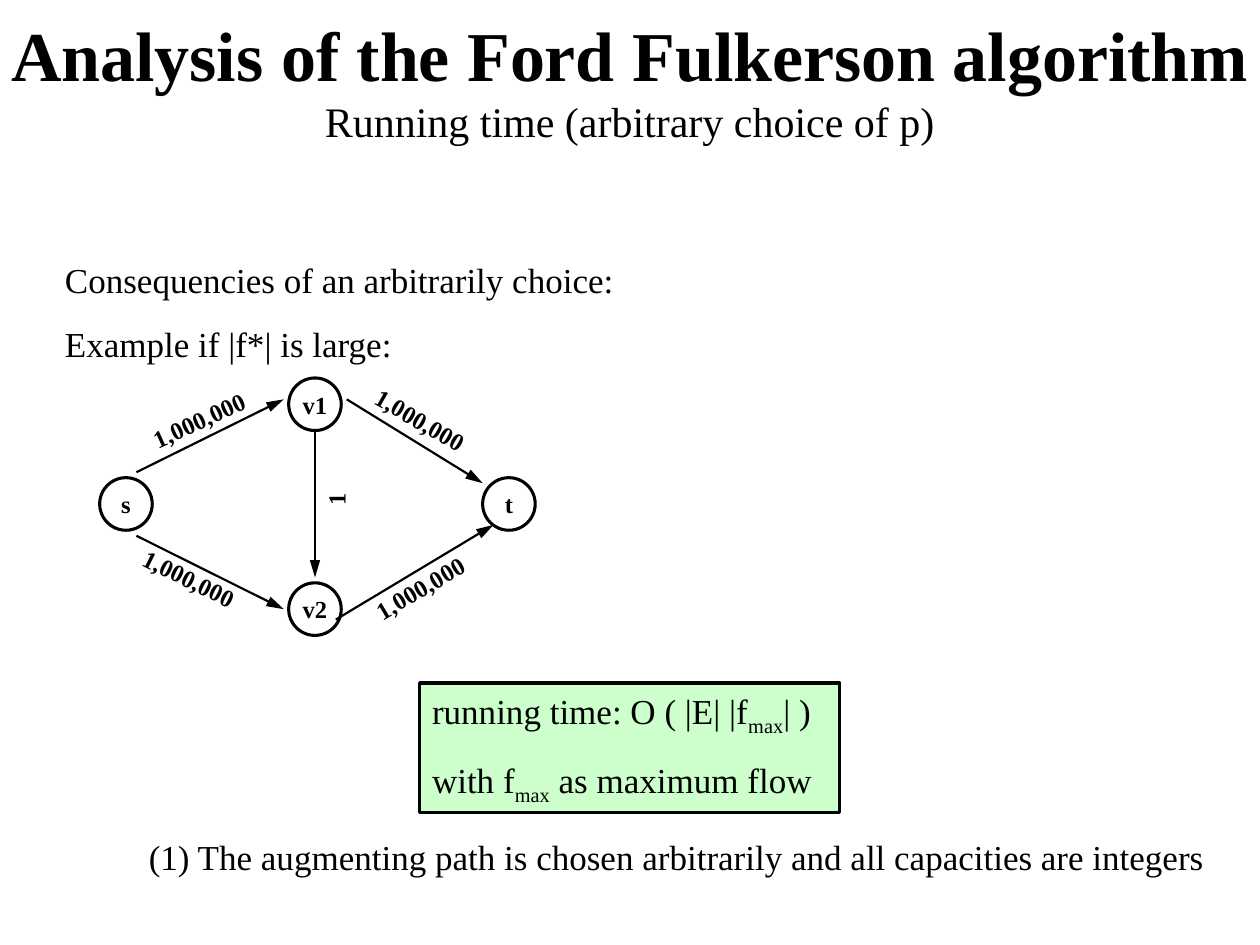
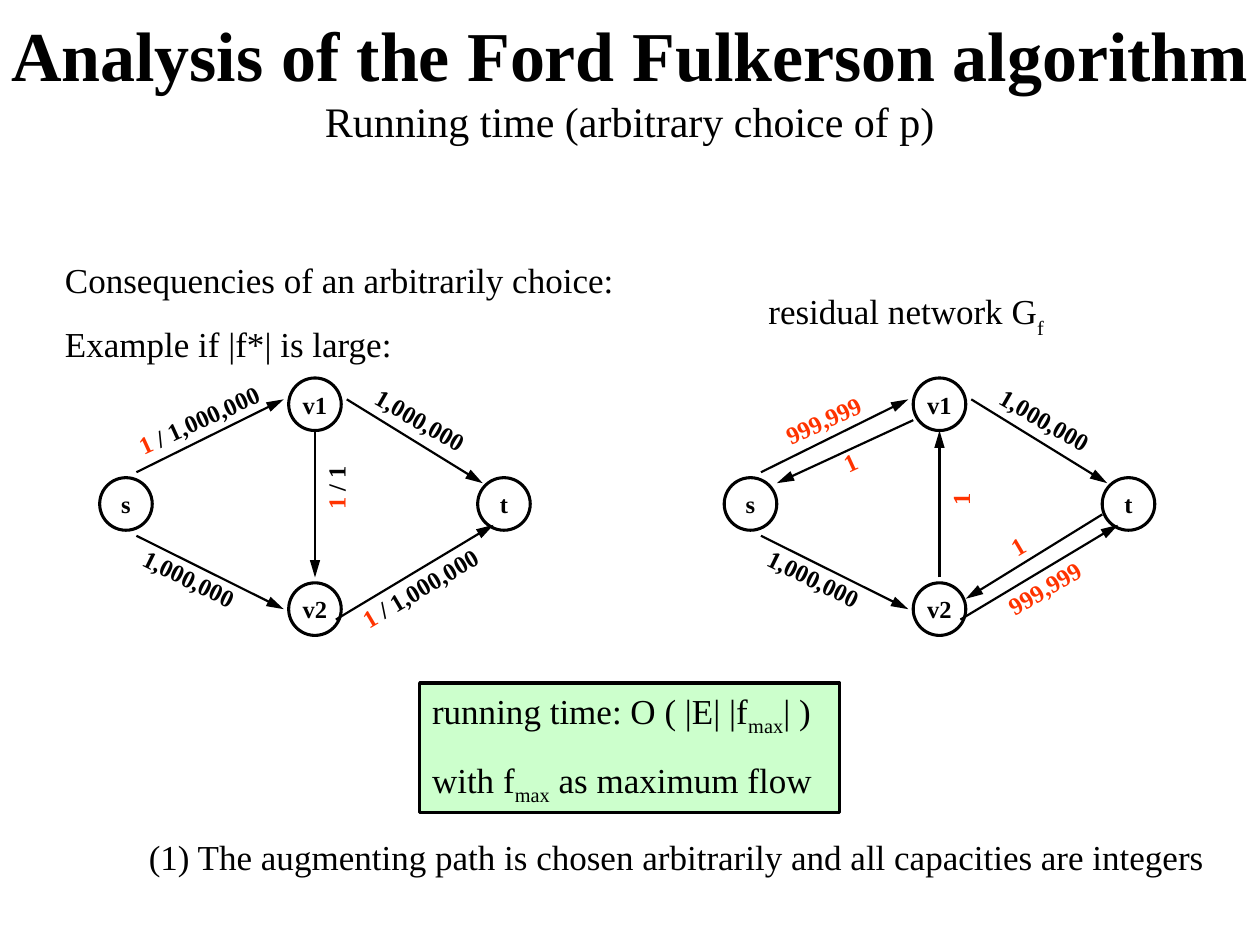
import pptx
import pptx.util
import pptx.dml.color
import pptx.enum.shapes
import pptx.enum.text
import pptx.oxml.ns
import lxml.etree

Cm = pptx.util.Cm
Pt = pptx.util.Pt
SHAPE = pptx.enum.shapes.MSO_SHAPE
ALIGN = pptx.enum.text.PP_ALIGN
ANCHOR = pptx.enum.text.MSO_ANCHOR
FIT = pptx.enum.text.MSO_AUTO_SIZE
qn = pptx.oxml.ns.qn

COLORS = {"ink": "000000", "paper": "FFFFFF", "flow": "FF3300", "result": "CCFFCC"}
FONT = "Times New Roman"
NODE_SIZE = 1.06
NARROW, WIDE = 2.54, 3.4
LABEL_HEIGHT = 0.86

# Centimetres from the top left of a network
NODES = {"v2": (3.81, 4.13), "v1": (3.81, 0), "s": (0, 2.01)}
# Edge: start, end, centre of label, rotation of label
EDGES = {
    "v1-t": ((4.98, 0.43), (7.72, 2.12), (6.46, 0.85), 29.9),
    "s-v2": ((0.74, 3.18), (3.71, 4.66), (1.8, 4.04), 26.2),
    "s-v1": ((0.74, 1.9), (3.71, 0.43), (2.0, 0.85), -24.6),
    "v2-t": ((4.76, 4.87), (7.94, 2.96), (6.46, 4.24), -30.5),
    "v1-v2": ((4.34, 1.06), (4.34, 4.02), (4.77, 2.44), 270),
    "v2-v1": ((4.34, 4.02), (4.34, 1.06), (4.77, 2.44), 270),
    "t-v2": ((7.62, 2.75), (4.87, 4.45), (5.92, 3.4), -30.5),
    "v1-s": ((3.81, 0.85), (1.06, 2.12), (2.54, 1.7), -24.6),
}

CAPACITY = [("1,000,000", "ink")]
USED_CAPACITY = [("1 ", "flow"), ("/ 1,000,000", "ink")]
REMAINING = [("999,999", "flow")]
ONE_UNIT = [("1", "flow")]


def rgb(name):
    return pptx.dml.color.RGBColor.from_string(COLORS[name])


def style_run(r, size, bold=False, color="ink"):
    r.font.name = FONT
    r.font.size = Pt(size)
    r.font.bold = bold
    r.font.color.rgb = rgb(color)


def write_lines(tf, lines, size, bold=False, align=ALIGN.LEFT, space=0):
    """Each line is a list of (text, style): a colour name, or a baseline shift in percent."""
    for i, line in enumerate(lines):
        p = tf.paragraphs[0] if i == 0 else tf.add_paragraph()
        p.alignment = align
        p.space_before = Pt(space)
        for text, style in line:
            r = p.add_run()
            r.text = text
            if style in COLORS:
                style_run(r, size, bold, style)
            else:
                style_run(r, size, bold)
                r.font._element.set("baseline", str(style * 1000))


def add_text(slide, box, lines, size=20, space=12.5, **style):
    sp = slide.shapes.add_textbox(*map(Cm, box))
    tf = sp.text_frame
    tf.word_wrap = True
    tf.auto_size = FIT.SHAPE_TO_FIT_TEXT
    write_lines(tf, lines, size, space=space, **style)
    return sp


def add_outlined(slide, kind, box, fill):
    sp = slide.shapes.add_shape(kind, *map(Cm, box))
    sp.shadow.inherit = False
    sp.fill.solid()
    sp.fill.fore_color.rgb = rgb(fill)
    sp.line.color.rgb = rgb("ink")
    sp.line.width = Pt(1.75)
    return sp


def add_node(slide, name, left, top):
    sp = add_outlined(slide, SHAPE.OVAL, (left, top, NODE_SIZE, NODE_SIZE), "paper")
    tf = sp.text_frame
    tf.word_wrap = False
    tf.vertical_anchor = ANCHOR.MIDDLE
    write_lines(tf, [[(name, "ink")]], 14, bold=True, align=ALIGN.CENTER)


def add_arrow(slide, x1, y1, x2, y2):
    line = slide.shapes.add_connector(
        pptx.enum.shapes.MSO_CONNECTOR.STRAIGHT, Cm(x1), Cm(y1), Cm(x2), Cm(y2))
    line.line.color.rgb = rgb("ink")
    line.line.width = Pt(1.25)
    lxml.etree.SubElement(line.line._get_or_add_ln(), qn("a:tailEnd"),
                          type="triangle", w="med", len="lg")
    lxml.etree.SubElement(line._element.spPr, qn("a:effectLst"))


def add_network(slide, left, top, t_left, labels):
    """labels maps an edge to (runs, label width, shift down of the label)."""
    for name, (x, y) in {"t": (t_left, 2.01), **NODES}.items():
        add_node(slide, name, left + x, top + y)
    for edge in labels:
        (x1, y1), (x2, y2) = EDGES[edge][:2]
        add_arrow(slide, left + x1, top + y1, left + x2, top + y2)
    for edge, (runs, width, shift) in labels.items():
        (x, y), angle = EDGES[edge][2:]
        box = (left + x - width / 2, top + y + shift - LABEL_HEIGHT / 2,
               width, LABEL_HEIGHT)
        sp = add_text(slide, box, [runs], 14, 8.8, bold=True, align=ALIGN.CENTER)
        sp.rotation = angle


def add_title(slide, left, top, width, height):
    sp = slide.shapes.title
    sp.left, sp.top, sp.width, sp.height = map(Cm, (left, top, width, height))
    tf = sp.text_frame
    tf.text = "Analysis of the Ford Fulkerson algorithm\vRunning time (arbitrary choice of p)"
    tf.auto_size = FIT.NONE
    tf.vertical_anchor = ANCHOR.MIDDLE
    p = tf.paragraphs[0]
    p.alignment = ALIGN.CENTER
    heading, subtitle = p.runs
    style_run(heading, 40, bold=True)
    style_run(subtitle, 24)


def add_result(slide, left, top, width, height):
    sp = add_outlined(slide, SHAPE.RECTANGLE, (left, top, width, height), "result")
    tf = sp.text_frame
    tf.word_wrap = True
    tf.vertical_anchor = ANCHOR.TOP
    write_lines(tf, [
        [("running time: O ( |E| |f", "ink"), ("max", -25), ("| )", "ink")],
        [("with f", "ink"), ("max", -25), (" as maximum flow", "ink")],
    ], 20, space=12.5)


def add_analysis_slide(prs):
    """Slide with the title, introduction, result and assumption that all slides share."""
    slide = prs.slides.add_slide(prs.slide_layouts[5])
    add_title(slide, -0.43, 0, 26.25, 3.18)
    add_text(slide, (2.75, 16.72, 23.92, 1.12), [[(
        "(1) The augmenting path is chosen arbitrarily and all capacities are integers",
        "ink")]])
    add_text(slide, (1.06, 5.08, 12.06, 2.38), [
        [("Consequencies of an arbitrarily choice:", "ink")],
        [("Example if |f*| is large:", "ink")],
    ])
    add_result(slide, 8.46, 13.77, 8.47, 2.61)
    return slide


def build_example(prs):
    slide = add_analysis_slide(prs)
    labels = {edge: (CAPACITY, NARROW, 0) for edge in ("v1-t", "s-v2", "s-v1", "v2-t")}
    labels["v1-v2"] = ([("1", "ink")], NODE_SIZE, 0)
    add_network(slide, 2.01, 7.62, 7.72, labels)


def build_first_augmentation(prs):
    slide = add_analysis_slide(prs)
    add_network(slide, 2.01, 7.62, 7.62, {
        "v1-t": (CAPACITY, WIDE, 0),
        "s-v2": (CAPACITY, WIDE, 0),
        "s-v1": (USED_CAPACITY, WIDE, 0),
        "v2-t": (USED_CAPACITY, WIDE, 0),
        "v1-v2": ([("1", "flow"), (" / 1", "ink")], 1.48, -0.23),
    })
    add_network(slide, 14.6, 7.62, 7.62, {
        "v1-t": (CAPACITY, NARROW, 0),
        "s-v2": (CAPACITY, NARROW, 0),
        "s-v1": (REMAINING, NARROW, 0),
        "v2-t": (REMAINING, NARROW, 0),
        "v2-v1": (ONE_UNIT, NODE_SIZE, 0),
        "t-v2": (ONE_UNIT, NARROW, 0),
        "v1-s": (ONE_UNIT, NARROW, 0),
    })
    add_text(slide, (15.24, 5.72, 6.98, 1.27),
             [[("residual network G", "ink"), ("f", -30)]], space=10)


def main():
    prs = pptx.Presentation()
    prs.slide_width, prs.slide_height = Cm(25.4), Cm(19.05)
    build_example(prs)
    build_first_augmentation(prs)
    prs.save("out.pptx")


if __name__ == "__main__":
    main()
